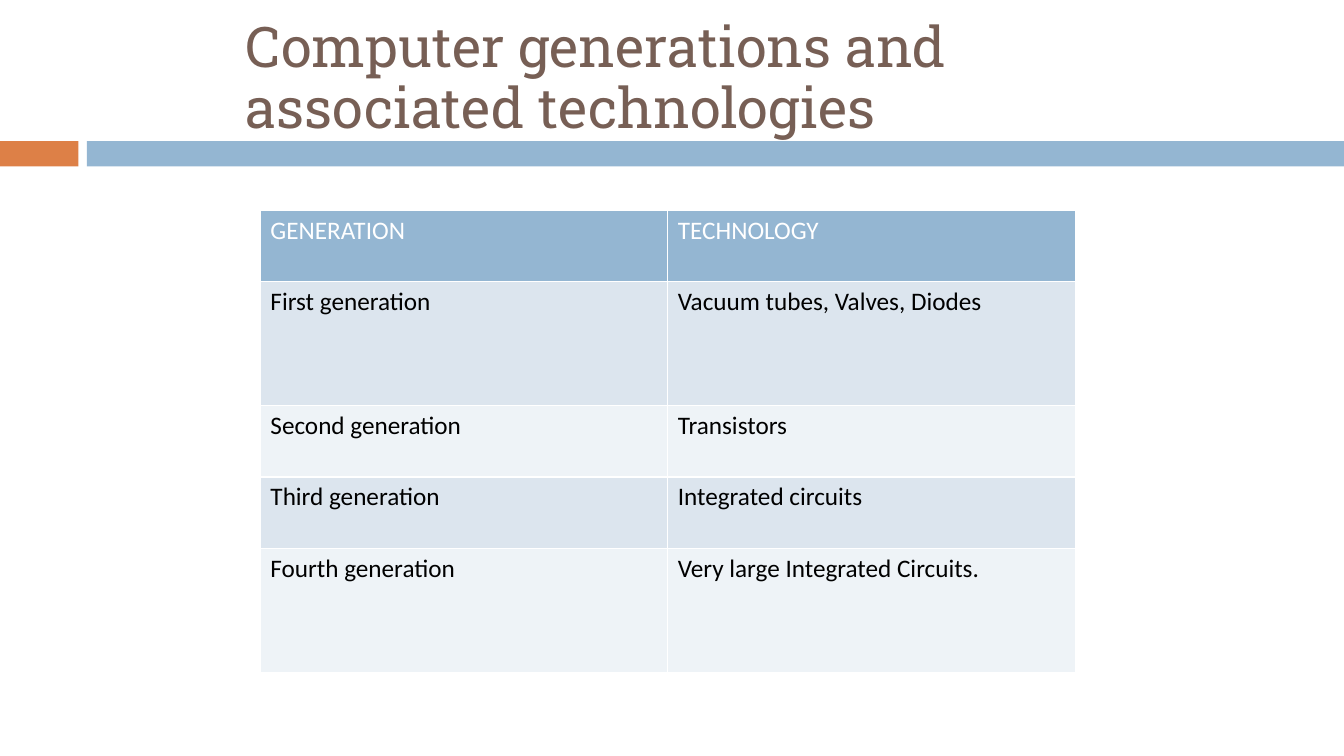
from lxml import etree
from pptx import Presentation
from pptx.dml.color import RGBColor
from pptx.enum.shapes import MSO_SHAPE as Shape
from pptx.enum.text import MSO_ANCHOR as Anchor, MSO_AUTO_SIZE as AutoSize, PP_ALIGN as Align
from pptx.oxml.ns import qn
from pptx.util import Pt

ORANGE, BLUE, BROWN = "DD8047", "94B6D2", "775F55"
WHITE, BLACK = "FFFFFF", "000000"
BANDS = ("DCE5EE", "EEF3F7")

GENERATIONS = [
    ("GENERATION", "TECHNOLOGY"),
    ("First generation", "Vacuum tubes, Valves, Diodes"),
    ("Second generation", "Transistors"),
    ("Third generation", "Integrated circuits"),
    ("Fourth generation", "Very large Integrated Circuits."),
]
SHORT_ROW, TALL_ROW = 51.1, 88.5
ROW_HEIGHTS = (SHORT_ROW, TALL_ROW, SHORT_ROW, SHORT_ROW, TALL_ROW)
COLUMN_WIDTH = 291


def rgb(color):
    return RGBColor.from_string(color)


def set_font(paragraph, name, size, color):
    paragraph.font.name = name
    paragraph.font.size = Pt(size)
    paragraph.font.bold = False
    paragraph.font.color.rgb = rgb(color)


def add_bar(slide, left, width, color):
    bar = slide.shapes.add_shape(Shape.RECTANGLE, Pt(left), Pt(100.8), Pt(width), Pt(18))
    bar.shadow.inherit = False
    bar.fill.solid()
    bar.fill.fore_color.rgb = rgb(color)
    bar.line.fill.background()


def place_title(slide, text):
    title = slide.shapes.title
    title.left, title.top, title.width, title.height = Pt(168.5), Pt(18), Pt(642), Pt(78)
    frame = title.text_frame
    frame.text = text
    frame.word_wrap = True
    frame.auto_size = AutoSize.NONE
    frame.vertical_anchor = Anchor.MIDDLE
    heading = frame.paragraphs[0]
    heading.alignment = Align.LEFT
    heading.line_spacing = 0.9
    set_font(heading, "Roboto Slab", 40, BROWN)
    # The title's descenders lie over the bar
    slide.shapes._spTree.append(title._element)


def set_borders(cell, color, width):
    properties = cell._tc.get_or_add_tcPr()
    for position, side in enumerate(("a:lnL", "a:lnR", "a:lnT", "a:lnB")):
        line = etree.Element(qn(side), w=str(Pt(width)))
        fill = etree.SubElement(line, qn("a:solidFill"))
        etree.SubElement(fill, qn("a:srgbClr"), val=color)
        properties.insert(position, line)


def fill_cell(cell, text, text_color, fill_color):
    cell.text = text
    set_font(cell.text_frame.paragraphs[0], "Calibri", 18, text_color)
    cell.fill.solid()
    cell.fill.fore_color.rgb = rgb(fill_color)
    set_borders(cell, WHITE, 1)


def add_generations_table(slide):
    columns = len(GENERATIONS[0])
    table = slide.shapes.add_table(
        len(GENERATIONS), columns, Pt(186), Pt(150),
        Pt(columns * COLUMN_WIDTH), Pt(sum(ROW_HEIGHTS))).table
    for column in table.columns:
        column.width = Pt(COLUMN_WIDTH)
    for r, (texts, height) in enumerate(zip(GENERATIONS, ROW_HEIGHTS)):
        table.rows[r].height = Pt(height)
        text_color, fill_color = (BLACK, BANDS[(r - 1) % 2]) if r else (WHITE, BLUE)
        for c, text in enumerate(texts):
            fill_cell(table.cell(r, c), text, text_color, fill_color)


def main():
    deck = Presentation()
    deck.slide_width, deck.slide_height = Pt(960), Pt(540)
    slide = deck.slides.add_slide(deck.slide_layouts[5])

    # Bars under the title
    add_bar(slide, 0, 56, ORANGE)
    add_bar(slide, 62, 898, BLUE)

    # Title and table
    place_title(slide, "Computer generations and associated technologies")
    add_generations_table(slide)

    deck.save("out.pptx")


if __name__ == "__main__":
    main()
